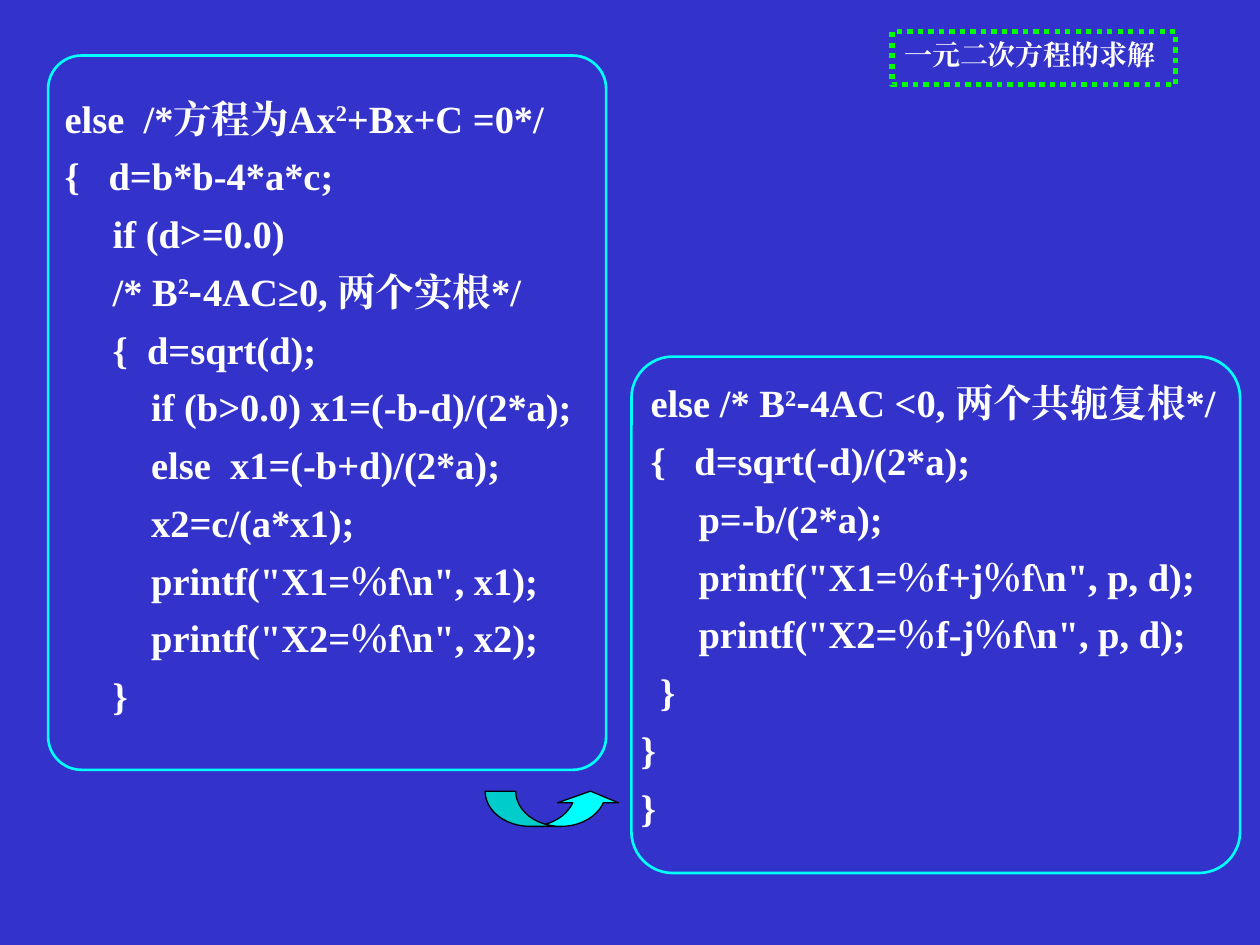
from lxml.etree import SubElement
from pptx import Presentation
from pptx.dml.color import RGBColor
from pptx.enum.dml import MSO_LINE
from pptx.enum.shapes import MSO_SHAPE
from pptx.oxml.ns import qn
from pptx.util import Cm, Pt

FONT = "Times New Roman"
HYPHEN_FONT = "Noto Sans CJK SC"


def color(hex_text):
    return RGBColor.from_string(hex_text)


def add_text(page, place, lines, size, line_height=None):
    """Add a text box; in a line, ^ precedes a superscript and ~ a CJK hyphen."""
    box = page.shapes.add_textbox(*[Cm(value) for value in place])
    frame = box.text_frame
    frame.word_wrap = True
    for index, line in enumerate(lines):
        para = frame.paragraphs[0] if index == 0 else frame.add_paragraph()
        para.line_spacing = line_height
        marked = line.replace("^2", "|^2|").replace("~", "|~|")
        for piece in filter(None, marked.split("|")):
            span = para.add_run()
            span.text = piece.replace("^", "").replace("~", "-")
            span.font.size = Pt(size)
            span.font.bold = True
            span.font.color.rgb = color("FFFFFF")
            span.font.name = HYPHEN_FONT if piece == "~" else FONT
            properties = span.font._element
            SubElement(properties, qn("a:ea")).set("typeface", FONT)
            if piece.startswith("^"):
                properties.set("baseline", "30000")


deck = Presentation()
deck.slide_width, deck.slide_height = Cm(25.4), Cm(19.05)
page = deck.slides.add_slide(deck.slide_layouts[6])
page.background.fill.solid()
page.background.fill.fore_color.rgb = color("3333CC")

# Title
add_text(page, (17.98, 0.64, 5.72, 0.94), ["一元二次方程的求解"], 16)

# Code for real roots
real_roots = [
    "    else  /*方程为Ax^2+Bx+C =0*/",
    "    {   d=b*b-4*a*c;",
    "         if (d>=0.0)",
    "         /* B^2~4AC≥0, 两个实根*/",
    "         {  d=sqrt(d);",
    "             if (b>0.0) x1=(-b-d)/(2*a);",
    "             else  x1=(-b+d)/(2*a);",
    "             x2=c/(a*x1);",
    '             printf("X1=％f\\n", x1);',
    '             printf("X2=％f\\n", x2);',
    "         }",
]
add_text(page, (0.28, 1.55, 12.6, 13.41), real_roots, 22, Pt(33))

# Code for complex roots
complex_roots = [
    "    else /* B^2~4AC <0, 两个共轭复根*/",
    "    {   d=sqrt(-d)/(2*a);",
    "         p=-b/(2*a);",
    '         printf("X1=％f+j％f\\n", p, d);',
    '         printf("X2=％f-j％f\\n", p, d);',
    "     }",
    "   }",
    "   }",
]
add_text(page, (12.09, 7.29, 13.25, 9.75), complex_roots, 22, Pt(33))

# Frames and arrow: kind, place, adjustments, fill, line colour, line width, dash
outlines = [
    (MSO_SHAPE.ROUNDED_RECTANGLE, (12.73, 7.19, 12.27, 10.41), [0.08],
     None, "00FFFF", 1.5, None),
    (MSO_SHAPE.CURVED_UP_ARROW, (9.78, 15.95, 2.74, 0.71), [0.87, 1.73, 0.33],
     "00FFFF", "000000", 0.75, None),
    (MSO_SHAPE.ROUNDED_RECTANGLE, (0.97, 1.12, 11.25, 14.4), [0.06],
     None, "00FFFF", 1.5, None),
    (MSO_SHAPE.RECTANGLE, (17.98, 0.64, 5.72, 1.07), [],
     None, "00FF00", 3, MSO_LINE.ROUND_DOT),
]
for kind, place, adjustments, fill, line, width, dash in outlines:
    shape = page.shapes.add_shape(kind, *[Cm(value) for value in place])
    shape.shadow.inherit = False
    for index, value in enumerate(adjustments):
        shape.adjustments[index] = value
    if fill:
        shape.fill.solid()
        shape.fill.fore_color.rgb = color(fill)
    else:
        shape.fill.background()
    shape.line.color.rgb = color(line)
    shape.line.width = Pt(width)
    if dash:
        shape.line.dash_style = dash

deck.save("out.pptx")
